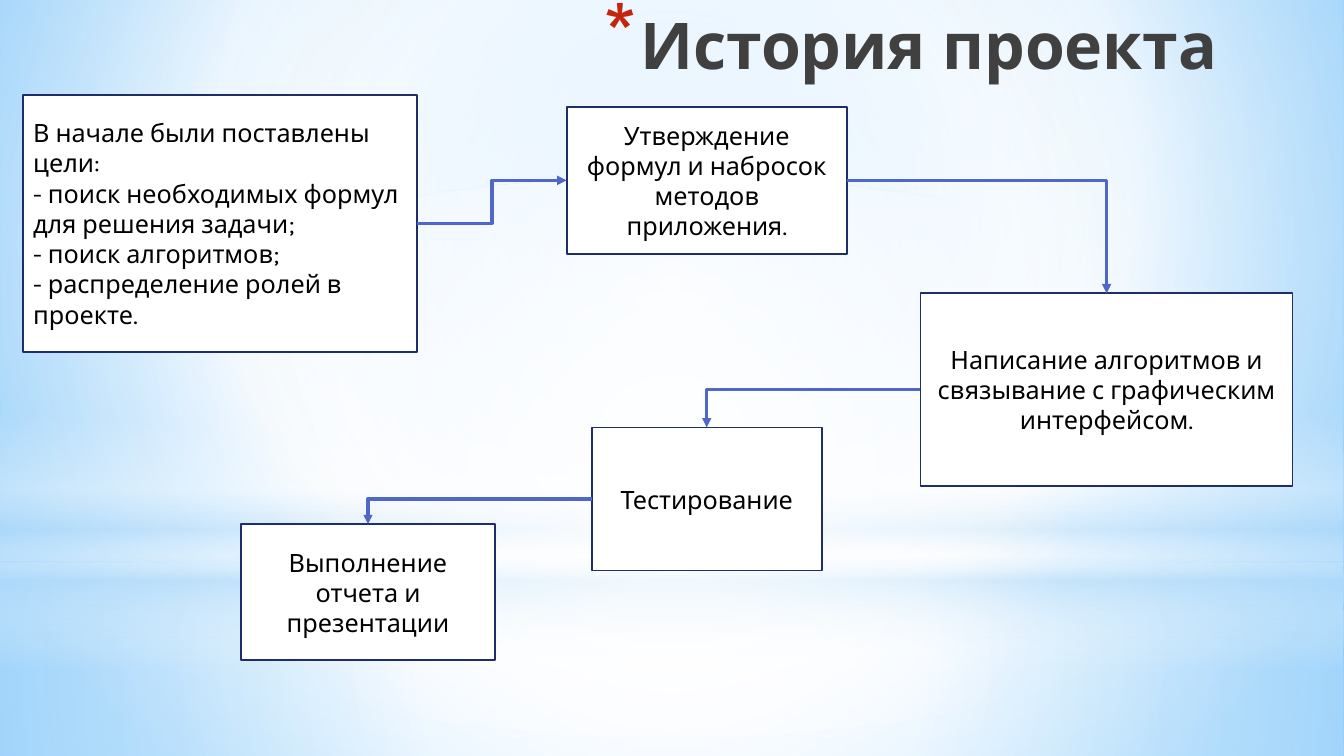
from lxml import etree
from pptx import Presentation
from pptx.dml.color import RGBColor
from pptx.enum.shapes import MSO_CONNECTOR as Conn, MSO_SHAPE as Shape
from pptx.enum.text import MSO_ANCHOR as Anchor, PP_ALIGN as Align
from pptx.oxml import parse_xml
from pptx.oxml.ns import nsdecls, qn
from pptx.util import Inches, Pt

FONT = "Karla"
WIDE, HIGH = 13.33, 7.5
TOP, LEFT, BOTTOM, RIGHT = range(4)
MID = (50, 50, 50, 50)

# box, shape, stops (place, colour, opacity), focus; no focus means top to bottom
GLOWS = [
    ((0, 5.58, WIDE, 1.92), Shape.RECTANGLE,
     [(0, "FFFFFF", 91), (37, "FFFFFF", 76), (100, "B4DCFA", 79)], MID),
    ((0, 0, WIDE, 5.58), Shape.RECTANGLE,
     [(0, "FFFFFF", 89), (48, "FFFFFF", 62), (100, "B4DCFA", 79)], MID),
    ((0, 4.12, WIDE, 2.5), Shape.RECTANGLE,
     [(0, "FFFFFF", 0), (29, "FFFFFF", 30), (45, "B4DCFA", 40),
      (55, "FFFFFF", 26), (65, "B4DCFA", 60), (100, "FFFFFF", 0)], None),
    ((0, 1.75, WIDE, 5.58), Shape.OVAL,
     [(0, "FFFFFF", 100), (56, "FFFFFF", 0)], MID),
]

STEPS = {
    "goals": ((0.23, 0.94, 3.91, 2.55), Align.LEFT,
              "В начале были поставлены цели:\n"
              "- поиск необходимых формул для решения задачи;\n"
              "- поиск алгоритмов;\n"
              "- распределение ролей в проекте."),
    "draft": ((5.62, 1.06, 2.78, 1.46), Align.CENTER,
              "Утверждение формул и набросок методов приложения."),
    "code": ((9.13, 2.91, 3.69, 1.91), Align.CENTER,
             "Написание алгоритмов и связывание с графическим интерфейсом."),
    "test": ((5.87, 4.24, 2.28, 1.42), Align.CENTER, "Тестирование"),
    "report": ((2.39, 5.2, 2.52, 1.35), Align.CENTER,
               "Выполнение отчета и презентации"),
}

LINKS = [
    ("goals", RIGHT, "draft", LEFT),
    ("draft", RIGHT, "code", TOP),
    ("code", LEFT, "test", TOP),
    ("test", LEFT, "report", TOP),
]


def rgb(code):
    return RGBColor.from_string(code)


def place(box):
    return [Inches(n) for n in box]


def blend(solid, stops, focus=None):
    """Swap a solid fill element for a gradient."""
    marks = "".join(
        f'<a:gs pos="{pos * 1000}"><a:srgbClr val="{code}">'
        f'<a:alpha val="{alpha * 1000}"/></a:srgbClr></a:gs>'
        for pos, code, alpha in stops)
    if focus:
        sides = " ".join(f'{k}="{n * 1000}"' for k, n in zip("ltrb", focus))
        way = f'<a:path path="circle"><a:fillToRect {sides}/></a:path>'
    else:
        way = '<a:lin ang="5400000" scaled="0"/>'
    grad = parse_xml(f'<a:gradFill {nsdecls("a")} rotWithShape="1">'
                     f'<a:gsLst>{marks}</a:gsLst>{way}</a:gradFill>')
    solid.getparent().replace(solid, grad)


def write(par, size, code, bold=False):
    for run in par.runs:
        font = run.font
        font.name, font.size, font.bold = FONT, Pt(size), bold
        font.color.rgb = rgb(code)


def backdrop(slide):
    slide.background.fill.solid()
    slide.background.fill.fore_color.rgb = rgb("FFFFFF")
    blend(slide.element.xpath(".//p:bgPr/a:solidFill")[0],
          [(0, "9ED5FF", 100), (60, "FFFFFF", 100), (100, "5BB9FF", 100)],
          (20, 10, 20, 60))
    for box, kind, stops, focus in GLOWS:
        glow = slide.shapes.add_shape(kind, *place(box))
        glow.shadow.inherit = False
        glow.line.fill.background()
        glow.fill.solid()
        glow.fill.fore_color.rgb = rgb("FFFFFF")
        blend(glow.element.spPr.find(qn("a:solidFill")), stops, focus)


def title(slide, box, text):
    frame = slide.shapes.add_textbox(*place(box)).text_frame
    frame.word_wrap = True
    frame.vertical_anchor = Anchor.TOP
    frame.text = text
    par = frame.paragraphs[0]
    par.alignment = Align.RIGHT
    write(par, 46, "404040", True)
    props = par.alignment is not None and par.runs[0].font and frame.paragraphs[0]
    props = props.runs[0].text and slide.shapes[-1].element.xpath(".//a:pPr")[0]
    props.set("marL", str(Inches(0.35)))
    props.set("indent", str(-Inches(0.35)))
    color = etree.SubElement(props, qn("a:buClr"))
    etree.SubElement(color, qn("a:srgbClr"), val="C3260C")
    etree.SubElement(props, qn("a:buSzPct"), val="128000")
    etree.SubElement(props, qn("a:buChar"), char="*")


def step(slide, box, align, text):
    card = slide.shapes.add_shape(Shape.RECTANGLE, *place(box))
    card.shadow.inherit = False
    card.fill.solid()
    card.fill.fore_color.rgb = rgb("FFFFFF")
    card.line.color.rgb = rgb("1F2E69")
    card.line.width = Pt(1.25)
    frame = card.text_frame
    frame.vertical_anchor = Anchor.MIDDLE
    frame.text = text
    for par in frame.paragraphs:
        par.alignment = align
        write(par, 18, "000000")
    return card


def link(slide, start, out, end, into):
    """Join two cards with a bent arrow."""
    arrow = slide.shapes.add_connector(Conn.ELBOW, 0, 0, 0, 0)
    arrow.begin_connect(start, out)
    arrow.end_connect(end, into)
    arrow.line.color.rgb = rgb("4E67C8")
    arrow.line.width = Pt(2.25)
    props = arrow.element.spPr
    if into == TOP:
        props.find(qn("a:prstGeom")).set("prst", "bentConnector2")
    etree.SubElement(props.find(qn("a:ln")), qn("a:tailEnd"), type="triangle")
    etree.SubElement(props, qn("a:effectLst"))


def flow(slide):
    cards = {name: step(slide, *parts) for name, parts in STEPS.items()}
    for start, out, end, into in LINKS:
        link(slide, cards[start], out, cards[end], into)


def main():
    deck = Presentation()
    deck.slide_width, deck.slide_height = Inches(WIDE), Inches(HIGH)
    slide = deck.slides.add_slide(deck.slide_layouts[6])
    backdrop(slide)
    title(slide, (0.85, 0, 11.32, 1.06), "История проекта")
    flow(slide)
    deck.save("out.pptx")


if __name__ == "__main__":
    main()
